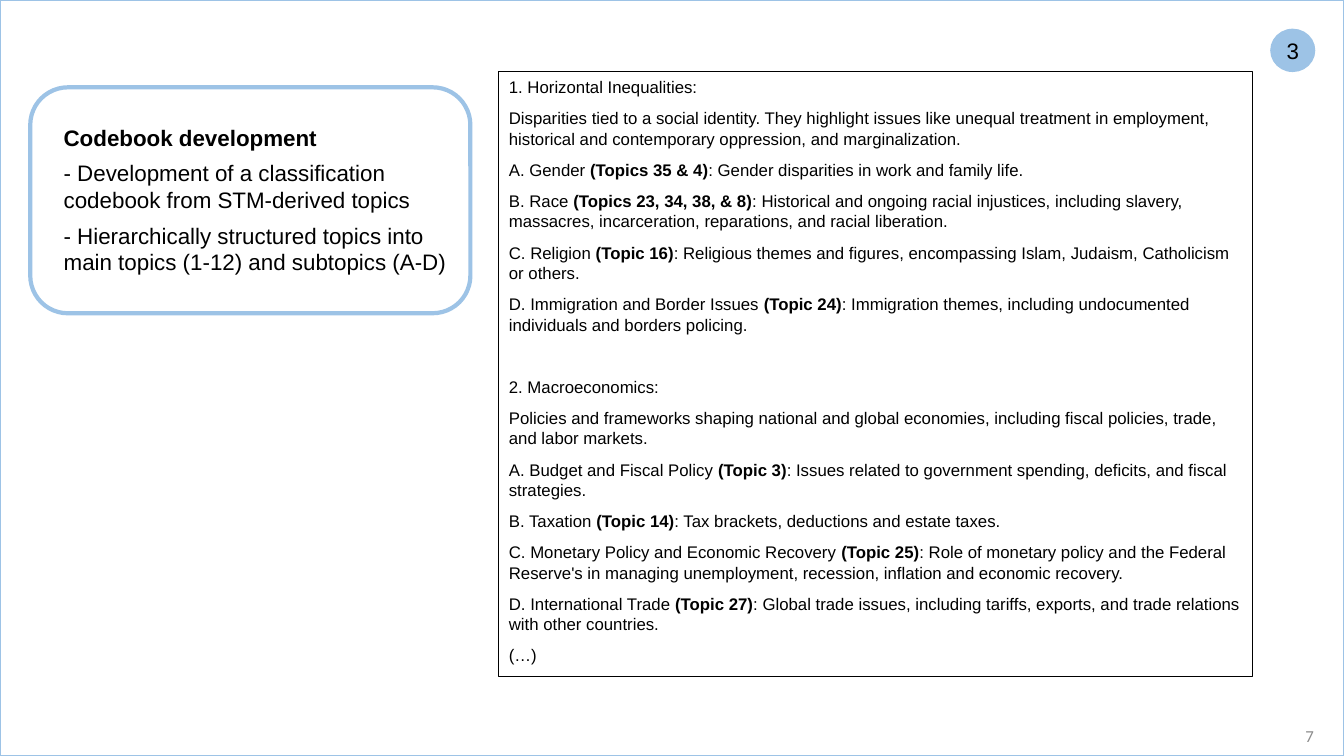
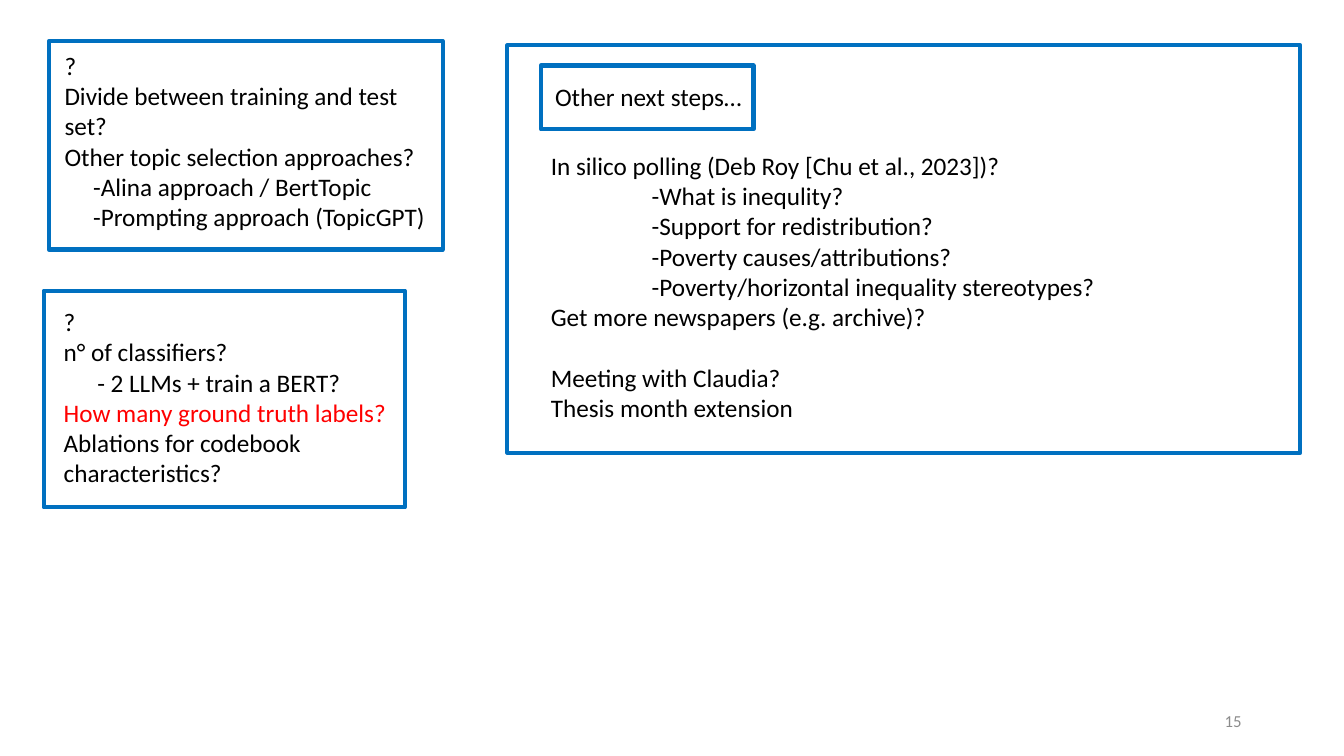
"""Build two slides: the topic codebook and the open questions with next steps."""
from dataclasses import dataclass
from typing import NamedTuple, Optional

from pptx import Presentation
from pptx import util as u
from pptx.dml.color import RGBColor
from pptx.enum import shapes, text

COLUMNS, ROWS = 80, 45
CELL = u.Inches(1 / 6)


@dataclass(frozen=True)
class Theme:
    """Colours, fonts and type sizes of the deck."""
    ink: str = "000000"
    sky: str = "9DC3E6"
    blue: str = "0070C0"
    alert: str = "FF0000"
    muted: str = "8C8C8C"
    plain_font: str = "Arial"
    note_font: str = "Calibri"
    small: int = 12
    medium: int = 16
    large: int = 18


THEME = Theme()


class Area(NamedTuple):
    """A rectangle in grid columns and rows."""
    column: float
    row: float
    columns: float
    rows: float

    def emu(self) -> list[int]:
        """Return left, top, width and height in slide units."""
        return [round(length * CELL) for length in self]


class Run(NamedTuple):
    """A piece of text in one weight."""
    words: str
    bold: bool = False


@dataclass(frozen=True)
class Line:
    """One paragraph with its indent in columns and gap above in points."""
    runs: tuple[Run, ...]
    indent: float = 0
    before: float = 0
    color: str = THEME.ink


@dataclass(frozen=True)
class Style:
    """The type settings of one block of paragraphs."""
    font: str
    size: int
    before: float = 0
    after: float = 0
    align: text.PP_ALIGN = text.PP_ALIGN.LEFT
    anchor: text.MSO_ANCHOR = text.MSO_ANCHOR.TOP


@dataclass(frozen=True)
class Outline:
    """A bordered shape, optionally filled."""
    area: Area
    color: str
    weight: float
    kind: shapes.MSO_SHAPE = shapes.MSO_SHAPE.RECTANGLE
    fill: Optional[str] = None


@dataclass(frozen=True)
class Note:
    """A text block on the second slide."""
    area: Area
    lines: list[Line]


CARD_STYLE = Style(THEME.plain_font, THEME.medium, before=6)
CODEBOOK_STYLE = Style(THEME.plain_font, THEME.small, after=8)
BADGE_STYLE = Style(THEME.plain_font, THEME.medium, align=text.PP_ALIGN.CENTER,
                    anchor=text.MSO_ANCHOR.MIDDLE)
NOTE_STYLE = Style(THEME.note_font, THEME.large)
NUMBER_STYLE = Style(THEME.note_font, THEME.small, align=text.PP_ALIGN.RIGHT,
                     anchor=text.MSO_ANCHOR.MIDDLE)


def line(words: str, indent: float = 0, before: float = 0,
         color: str = THEME.ink, bold: bool = False) -> Line:
    """Return a paragraph made of a single run."""
    return Line((Run(words, bold),), indent, before, color)


def topic(name: str, source: str, scope: str) -> Line:
    """Return a codebook entry with its source topics in bold."""
    return Line((Run(f"{name} "), Run(f"({source})", True), Run(f": {scope}")))


CARD_LINES = [
    line("Codebook development", bold=True),
    line("- Development of a classification codebook from STM-derived topics"),
    line("- Hierarchically structured topics into main topics (1-12) and subtopics (A-D)"),
]

CODEBOOK_LINES = [
    line("1. Horizontal Inequalities:"),
    line("Disparities tied to a social identity. They highlight issues like unequal treatment "
         "in employment, historical and contemporary oppression, and marginalization."),
    topic("A. Gender", "Topics 35 & 4", "Gender disparities in work and family life."),
    topic("B. Race", "Topics 23, 34, 38, & 8",
          "Historical and ongoing racial injustices, including slavery, massacres, "
          "incarceration, reparations, and racial liberation."),
    topic("C. Religion", "Topic 16",
          "Religious themes and figures, encompassing Islam, Judaism, Catholicism or others."),
    topic("D. Immigration and Border Issues", "Topic 24",
          "Immigration themes, including undocumented individuals and borders policing."),
    line("2. Macroeconomics:", before=22),
    line("Policies and frameworks shaping national and global economies, including fiscal "
         "policies, trade, and labor markets."),
    topic("A. Budget and Fiscal Policy", "Topic 3",
          "Issues related to government spending, deficits, and fiscal strategies."),
    topic("B. Taxation", "Topic 14", "Tax brackets, deductions and estate taxes."),
    topic("C. Monetary Policy and Economic Recovery", "Topic 25",
          "Role of monetary policy and the Federal Reserve's in managing unemployment, "
          "recession, inflation and economic recovery."),
    topic("D. International Trade", "Topic 27",
          "Global trade issues, including tariffs, exports, and trade relations with "
          "other countries."),
    line("(…)"),
]

NEXT_STEP_FRAMES = [
    Outline(area, THEME.blue, 3) for area in (
        Area(32.2, 3.9, 12.65, 3.8),
        Area(30.2, 2.7, 47.2, 24.25),
        Area(2.9, 2.45, 23.45, 12.4),
        Area(2.6, 17.3, 21.5, 12.9),
    )
]

NEXT_STEP_NOTES = [
    Note(Area(32.2, 8.65, 34.45, 17), [
        line("In silico polling (Deb Roy [Chu et al., 2023])?"),
        line("-What is inequlity?", indent=6),
        line("-Support for redistribution?", indent=6),
        line("-Poverty causes/attributions?", indent=6),
        line("-Poverty/horizontal inequality stereotypes?", indent=6),
        line("Get more newspapers (e.g. archive)?"),
        line("Meeting with Claudia?", before=21.6),
        line("Thesis month extension"),
    ]),
    Note(Area(32.45, 4.55, 12.4, 2.4), [line("Other next steps…")]),
    Note(Area(3.25, 2.7, 23.45, 11.5), [
        line("?"),
        line("Divide between training and test set?"),
        line("Other topic selection approaches?"),
        line("-Alina approach / BertTopic", indent=1.7),
        line("-Prompting approach (TopicGPT)", indent=1.7),
    ]),
    Note(Area(3.2, 17.95, 21.5, 11.5), [
        line("?"),
        line("n° of classifiers?"),
        line("- 2 LLMs + train a BERT?", indent=2),
        line("How many ground truth labels?", color=THEME.alert),
        line("Ablations for codebook characteristics?"),
    ]),
]


def write(frame, lines: list[Line], style: Style) -> None:
    """Fill a text frame with paragraphs, run by run."""
    frame.word_wrap = True
    frame.vertical_anchor = style.anchor
    for index, entry in enumerate(lines):
        paragraph = frame.add_paragraph() if index else frame.paragraphs[0]
        paragraph.alignment = style.align
        paragraph.space_before = u.Pt(style.before + entry.before)
        paragraph.space_after = u.Pt(style.after)
        if entry.indent:
            paragraph._p.get_or_add_pPr().set("marL", str(round(entry.indent * CELL)))
        for piece in entry.runs:
            run = paragraph.add_run()
            run.text = piece.words
            run.font.name = style.font
            run.font.size = u.Pt(style.size)
            run.font.bold = piece.bold
            run.font.color.rgb = RGBColor.from_string(entry.color)


def draw_outline(slide, outline: Outline):
    """Draw a bordered shape and return it."""
    border = slide.shapes.add_shape(outline.kind, *outline.area.emu())
    border.shadow.inherit = False
    border.line.color.rgb = RGBColor.from_string(outline.color)
    border.line.width = u.Pt(outline.weight)
    if outline.fill:
        border.fill.solid()
        border.fill.fore_color.rgb = RGBColor.from_string(outline.fill)
    else:
        border.fill.background()
    return border


def draw_text(slide, area: Area, lines: list[Line], style: Style) -> None:
    """Add a text box holding the given paragraphs."""
    write(slide.shapes.add_textbox(*area.emu()).text_frame, lines, style)


def draw_number(slide, number: int, column: float, row: float) -> None:
    """Add the slide number in its right-aligned field."""
    draw_text(slide, Area(column, row, 18, 2.4),
              [line(str(number), color=THEME.muted)], NUMBER_STYLE)


def build_codebook(slide) -> None:
    """Draw the codebook slide."""
    draw_number(slide, 7, 60.8, 42.6)
    draw_outline(slide, Outline(Area(1.8, 5.2, 26.2, 13.45), THEME.sky, 3,
                                shapes.MSO_SHAPE.ROUNDED_RECTANGLE))
    draw_text(slide, Area(3.2, 7.1, 24.85, 9.7), CARD_LINES, CARD_STYLE)
    badge = draw_outline(slide, Outline(Area(75.65, 1.75, 2.6, 2.5), THEME.sky, 1,
                                        shapes.MSO_SHAPE.OVAL, THEME.sky)).text_frame
    badge.margin_left = badge.margin_right = badge.margin_top = badge.margin_bottom = 0
    write(badge, [line("3")], BADGE_STYLE)
    draw_outline(slide, Outline(Area(0, 0, COLUMNS, ROWS), THEME.sky, 1.5))
    codebook = draw_outline(slide, Outline(Area(29.7, 4.28, 44.88, 36), THEME.ink, 0.75))
    write(codebook.text_frame, CODEBOOK_LINES, CODEBOOK_STYLE)


def build_next_steps(slide) -> None:
    """Draw the slide of open questions and next steps."""
    draw_number(slide, 15, 56.5, 41.7)
    for frame in NEXT_STEP_FRAMES:
        draw_outline(slide, frame)
    for note in NEXT_STEP_NOTES:
        draw_text(slide, note.area, note.lines, NOTE_STYLE)


def main() -> None:
    """Build and save the deck."""
    deck = Presentation()
    deck.slide_width, deck.slide_height = COLUMNS * CELL, ROWS * CELL
    for build in (build_codebook, build_next_steps):
        build(deck.slides.add_slide(deck.slide_layouts[6]))
    deck.save("out.pptx")


if __name__ == "__main__":
    main()
